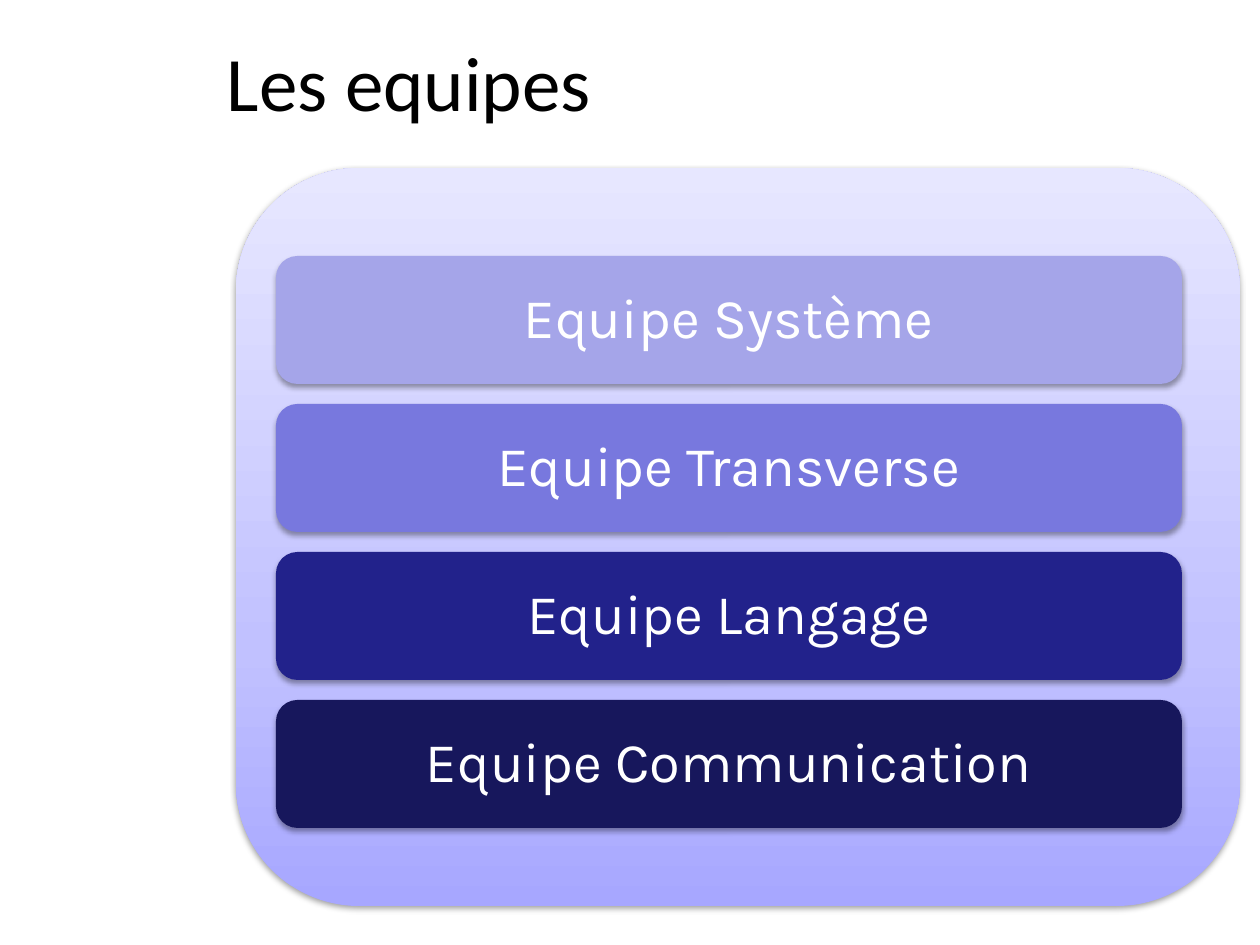
from copy import deepcopy

from lxml import etree
from pptx import Presentation
from pptx.dml.color import RGBColor
from pptx.enum.shapes import MSO_SHAPE
from pptx.enum.text import MSO_ANCHOR, PP_ALIGN
from pptx.oxml.ns import qn
from pptx.util import Emu, Pt

ROUNDED = MSO_SHAPE.ROUNDED_RECTANGLE
MIDDLE = MSO_ANCHOR.MIDDLE
LEFT, CENTER = PP_ALIGN.LEFT, PP_ALIGN.CENTER

PX_PER_INCH = 126
LINE_SPACING = 0.91
COLORS = {
    "title": "000000",
    "team_text": "FFFFFF",
    "shadow": "000000",
    "system": "A5A5E9",
    "transverse": "7878DE",
    "language": "22228B",
    "communication": "17175C",
}
PANEL_STOPS = [(0, "A7A7FF"), (0.35, "C1C1FF"), (1, "E7E7FF")]
TEAMS = [
    ("Equipe Système", "system"),
    ("Equipe Transverse", "transverse"),
    ("Equipe Langage", "language"),
    ("Equipe Communication", "communication"),
]
TEAM_TOP, TEAM_STEP = 256, 148


def px(length):
    return Emu(round(length * 914400 / PX_PER_INCH))


def color(name):
    return RGBColor.from_string(COLORS[name])


def write(shape, text, font_name, size, color_name, alignment):
    frame = shape.text_frame
    frame.word_wrap = True
    frame.vertical_anchor = MIDDLE
    frame.text = text
    paragraph = frame.paragraphs[0]
    paragraph.alignment = alignment
    paragraph.line_spacing = LINE_SPACING
    font = paragraph.runs[0].font
    font.name = font_name
    font.size = Pt(size)
    font.color.rgb = color(color_name)


def add_shadow(shape, opacity, distance):
    """Cast a soft shadow straight down; distance is in points."""
    shape.shadow.inherit = False
    effects = shape._element.spPr.find(qn("a:effectLst"))
    shadow = etree.SubElement(
        effects, qn("a:outerShdw"), blurRad=str(Pt(3.1)),
        dist=str(Pt(distance)), dir="5400000", rotWithShape="0")
    shade = etree.SubElement(shadow, qn("a:srgbClr"), val=COLORS["shadow"])
    etree.SubElement(shade, qn("a:alpha"), val=str(opacity * 1000))


def add_rounded_box(slide, left, top, width, height):
    shape = slide.shapes.add_shape(
        ROUNDED, px(left), px(top), px(width), px(height))
    shape.line.fill.background()
    return shape


def add_title(slide, text):
    title = slide.shapes.add_textbox(px(227), px(26), px(1004), px(121))
    write(title, text, "Calibri", 44, "title", LEFT)
    frame = title.text_frame
    frame.margin_left = frame.margin_right = 0
    frame.margin_top = frame.margin_bottom = 0


def add_panel(slide):
    panel = add_rounded_box(slide, 236, 168, 1004, 738)
    fill = panel.fill
    fill.gradient()
    fill.gradient_angle = 90
    stop_list = panel._element.spPr.find(".//" + qn("a:gsLst"))
    stop_list.append(deepcopy(stop_list[0]))
    for stop, (position, value) in zip(fill.gradient_stops, PANEL_STOPS):
        stop.position = position
        stop.color.rgb = RGBColor.from_string(value)
    add_shadow(panel, 38, 1.6)


def add_team(slide, index, name, color_name):
    team = add_rounded_box(
        slide, 276, TEAM_TOP + index * TEAM_STEP, 906, 128)
    team.fill.solid()
    team.fill.fore_color.rgb = color(color_name)
    add_shadow(team, 35, 1.8)
    write(team, name, "Karla", 32, "team_text", CENTER)


def main():
    presentation = Presentation()
    presentation.slide_width = px(1260)
    presentation.slide_height = px(945)
    slide = presentation.slides.add_slide(presentation.slide_layouts[6])
    add_title(slide, "Les equipes")
    add_panel(slide)
    for index, (name, color_name) in enumerate(TEAMS):
        add_team(slide, index, name, color_name)
    presentation.save("out.pptx")


if __name__ == "__main__":
    main()
